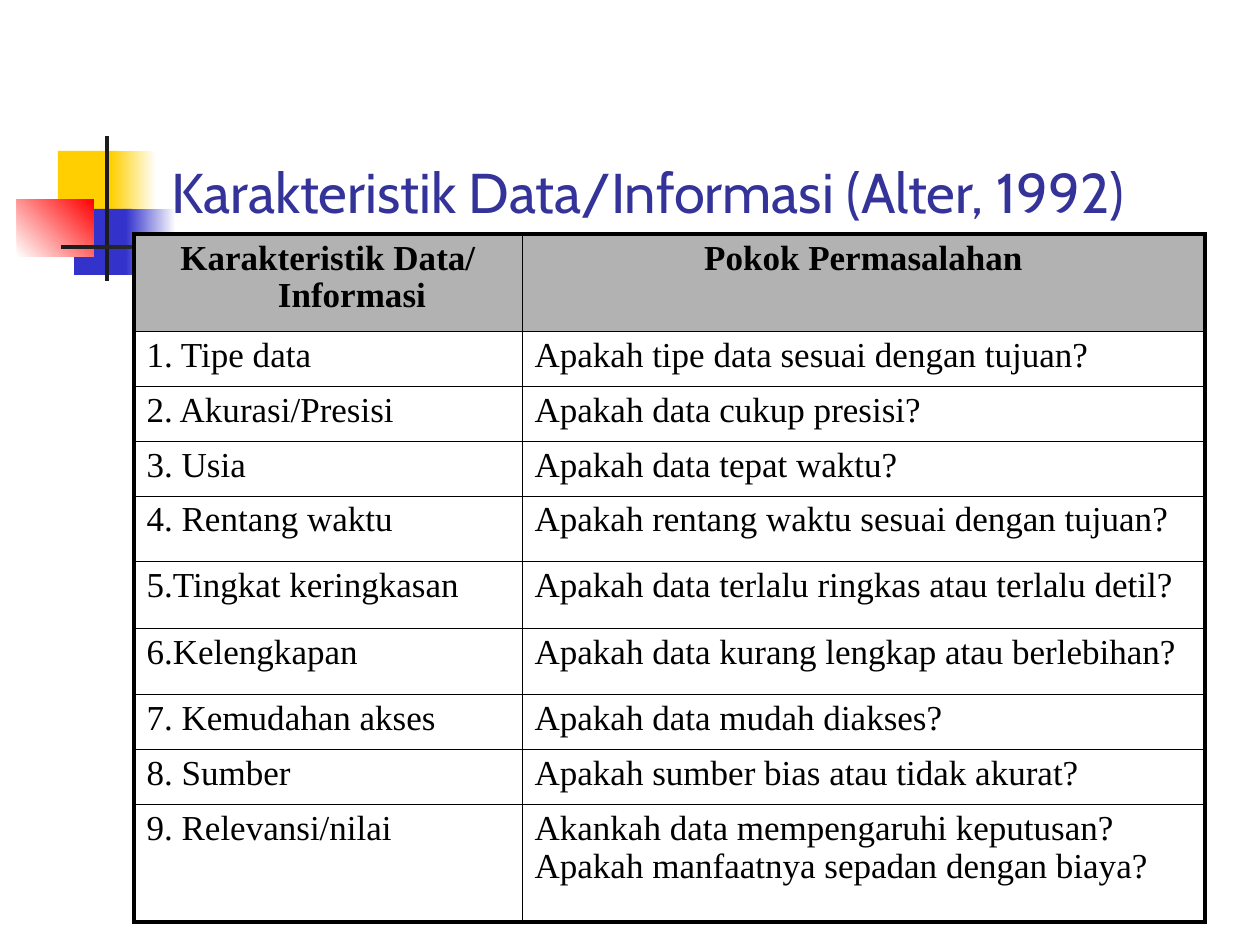
import pptx
import pptx.util
import pptx.dml.color
import pptx.enum.shapes
import pptx.enum.text
import pptx.oxml
import pptx.oxml.ns

COLORS = {
    "yellow": "FFCF01",
    "blue": "3333CC",
    "red": "FF0000",
    "white": "FFFFFF",
    "ink": "1C1C1C",
    "title": "333399",
    "header": "B2B2B2",
    "text": "000000",
}

HEADER = ("Karakteristik Data/ Informasi", "Pokok Permasalahan")
QUESTIONS = [
    ("1. Tipe data", "Apakah tipe data sesuai dengan tujuan?"),
    ("2. Akurasi/Presisi", "Apakah data cukup presisi?"),
    ("3. Usia", "Apakah data tepat waktu?"),
    ("4. Rentang waktu", "Apakah rentang waktu sesuai dengan tujuan?"),
    ("5.Tingkat keringkasan", "Apakah data terlalu ringkas atau terlalu detil?"),
    ("6.Kelengkapan", "Apakah data kurang lengkap atau berlebihan?"),
    ("7. Kemudahan akses", "Apakah data mudah diakses?"),
    ("8. Sumber", "Apakah sumber bias atau tidak akurat?"),
    ("9. Relevansi/nilai",
     "Akankah data mempengaruhi keputusan?\nApakah manfaatnya sepadan dengan biaya?"),
]
COLUMN_WIDTHS = (388, 683)
ROW_HEIGHTS = (97, 55, 55, 55, 66, 67, 66, 55, 55, 117)


def px(length):
    return pptx.util.Emu(round(length * 914400 / 126))


def rgb(name):
    return pptx.dml.color.RGBColor.from_string(COLORS[name])


class SlideWriter:
    """Draws styled elements on the current slide."""

    title_font = "Cabin"
    body_font = "Times New Roman"
    outer_border = 2.5
    inner_border = 0.45

    def __init__(self, slide):
        self.slide = slide

    def block(self, left, top, width, height, color, end=None, angle=0):
        rect = self.slide.shapes.add_shape(
            pptx.enum.shapes.MSO_SHAPE.RECTANGLE,
            px(left), px(top), px(width), px(height))
        rect.shadow.inherit = False
        rect.line.fill.background()
        if end is None:
            rect.fill.solid()
            rect.fill.fore_color.rgb = rgb(color)
        else:
            rect.fill.gradient()
            rect.fill.gradient_angle = angle
            for stop, name in zip(rect.fill.gradient_stops, (color, end)):
                stop.color.rgb = rgb(name)

    def format_runs(self, paragraph, font, size, color, bold=False):
        for run in paragraph.runs:
            run.font.name = font
            run.font.size = pptx.util.Pt(size)
            run.font.bold = bold
            run.font.color.rgb = rgb(color)

    def title(self, left, top, width, height, text):
        frame = self.slide.shapes.add_textbox(
            px(left), px(top), px(width), px(height)).text_frame
        frame.word_wrap = True
        frame.vertical_anchor = pptx.enum.text.MSO_ANCHOR.BOTTOM
        frame.text = text
        self.format_runs(frame.paragraphs[0], self.title_font, 32, "title")

    def border(self, cell, side, points):
        line = pptx.oxml.parse_xml(
            f'<a:ln{side} {pptx.oxml.ns.nsdecls("a")} w="{pptx.util.Pt(points)}">'
            f'<a:solidFill><a:srgbClr val="{COLORS["text"]}"/></a:solidFill>'
            f'</a:ln{side}>')
        cell._tc.get_or_add_tcPr().append(line)

    def cell(self, cell, text, is_header, outer_sides):
        cell.text_frame.text = text
        for paragraph in cell.text_frame.paragraphs:
            paragraph.line_spacing = 0.96
            properties = paragraph._p.get_or_add_pPr()
            properties.set("marL", str(px(48)))
            properties.set("indent", str(px(-48)))
            if is_header:
                paragraph.alignment = pptx.enum.text.PP_ALIGN.CENTER
            self.format_runs(paragraph, self.body_font, 20, "text", is_header)
        for side in "LRTB":
            self.border(cell, side,
                        self.outer_border if side in outer_sides else self.inner_border)
        if is_header:
            cell.fill.solid()
            cell.fill.fore_color.rgb = rgb("header")
        else:
            cell.fill.background()

    def table(self, left, top, widths, heights, rows):
        table = self.slide.shapes.add_table(
            len(rows), len(widths), px(left), px(top),
            px(sum(widths)), px(sum(heights))).table
        table.first_row = table.horz_banding = False
        for column, width in zip(table.columns, widths):
            column.width = px(width)
        for r, (height, texts) in enumerate(zip(heights, rows)):
            table.rows[r].height = px(height)
            for c, text in enumerate(texts):
                edges = {"L": c == 0, "R": c == len(widths) - 1,
                         "T": r == 0, "B": r == len(rows) - 1}
                outer_sides = [side for side, is_outer in edges.items() if is_outer]
                self.cell(table.cell(r, c), text, r == 0, outer_sides)


def main():
    deck = pptx.Presentation()
    deck.slide_width, deck.slide_height = px(1260), px(945)
    writer = SlideWriter(deck.slides.add_slide(deck.slide_layouts[6]))
    writer.block(58, 151, 60, 66, "yellow")
    writer.block(111, 151, 45, 66, "yellow", "white")
    writer.block(74, 209, 58, 66, "blue")
    writer.block(126, 209, 50, 66, "blue", "white")
    writer.block(17, 199, 77, 58, "white", "red", 45)
    writer.block(105, 136, 4, 145, "ink")
    writer.block(61, 245, 1134, 4, "ink", "white")
    writer.title(159, 29, 1074, 202, "Karakteristik Data/Informasi (Alter, 1992)")
    writer.table(134, 234, COLUMN_WIDTHS, ROW_HEIGHTS, [HEADER] + QUESTIONS)
    deck.save("out.pptx")


if __name__ == "__main__":
    main()
